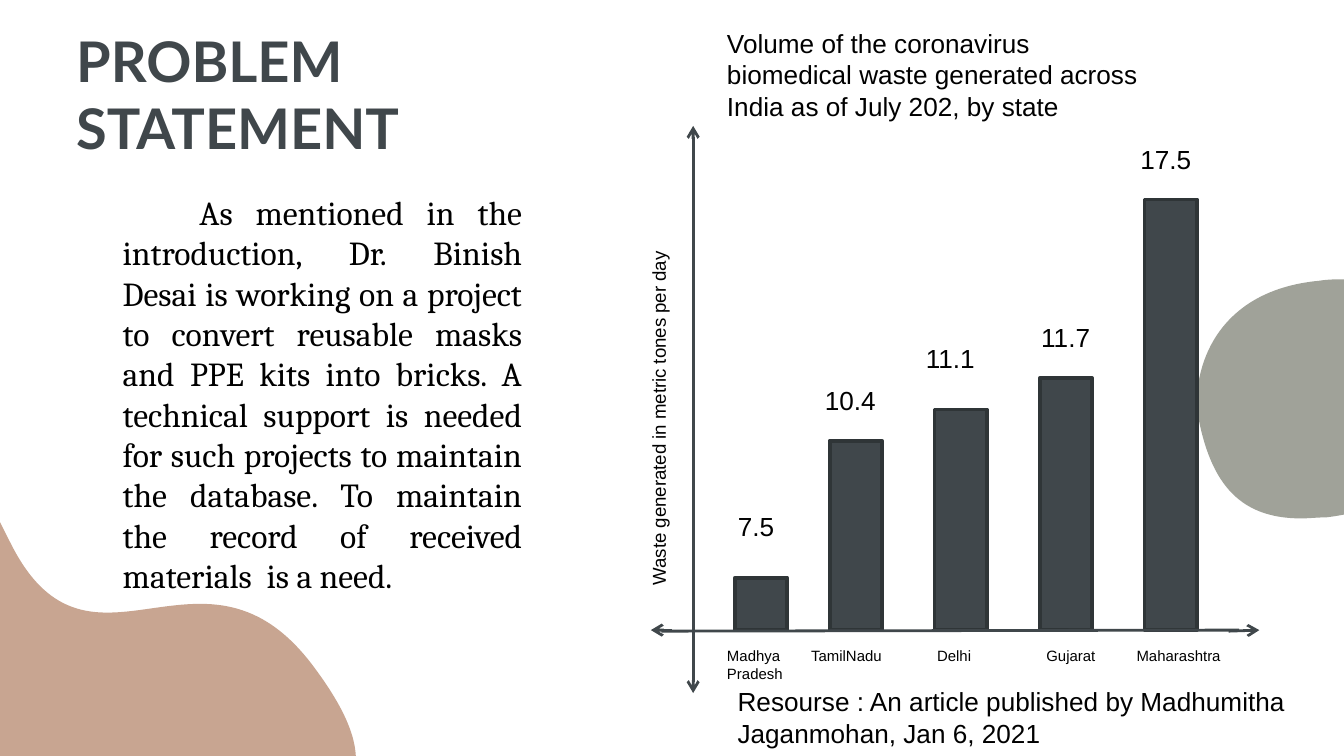
"""Build the problem statement slide with its hand-drawn bar graph."""
from lxml import etree
from pptx import Presentation
from pptx.dml.color import RGBColor
from pptx.enum.shapes import MSO_CONNECTOR, MSO_SHAPE
from pptx.enum.text import MSO_ANCHOR, MSO_AUTO_SIZE, PP_ALIGN
from pptx.oxml.ns import qn
from pptx.util import Cm, Pt

RECT = MSO_SHAPE.RECTANGLE
LINE = MSO_CONNECTOR.STRAIGHT
LEFT, MID, FULL = PP_ALIGN.LEFT, PP_ALIGN.CENTER, PP_ALIGN.JUSTIFY
BASE = MSO_ANCHOR.BOTTOM
FIXED = MSO_AUTO_SIZE.NONE

theme = {
    "slate": RGBColor(0x40, 0x47, 0x4B),
    "edge": RGBColor(0x2F, 0x35, 0x37),
    "clay": RGBColor(0xC8, 0xA5, 0x91),
    "sage": RGBColor(0xA0, 0xA2, 0x99),
    "black": RGBColor(0, 0, 0),
    "head": {"name": "Lato", "size": Pt(30), "bold": True},
    "body": {"name": "Cambria", "size": Pt(18)},
    "note": {"name": "Arial", "size": Pt(14)},
    "axis": {"name": "Arial", "size": Pt(10)},
    "tick": {"name": "Arial", "size": Pt(8)},
}

deck = Presentation()
deck.slide_width, deck.slide_height = Cm(25.4), Cm(14.29)
slide = deck.slides.add_slide(deck.slide_layouts[5])
shapes = slide.shapes


def write(frame, text, style, color="black", align=LEFT, wrap=True):
    frame.word_wrap = wrap
    frame.auto_size = FIXED
    frame.text = text
    for para in frame.paragraphs:
        para.alignment = align
        font = para.runs[0].font
        for key, value in theme[style].items():
            setattr(font, key, value)
        font.color.rgb = theme[color]


def label(box, text, style, **form):
    item = shapes.add_textbox(*map(Cm, box))
    write(item.text_frame, text, style, **form)
    return item


blobs = [
    ("clay", 330.6, (0.47, 6.63), [
        (0.58, 6.63), (0.69, 6.7), (0.81, 6.79),
        (1.5, 7.33), (1.27, 7.75), (1.19, 9.75),
        (1.05, 13.05), (4.62, 11.1), (5.04, 14.6),
        (5.28, 16.51), (4.74, 17.15), (3.33, 17.13),
        (2.89, 17.12), (2.4, 17.07), (1.81, 16.98),
        (-0.76, 16.58), (-1.8, 14.42), (-0.94, 11),
        (-0.25, 8.12), (-0.08, 6.61), (0.47, 6.63)]),
    ("sage", 0, (25.43, 5.28), [
        (25.27, 5.28), (25.1, 5.28), (24.92, 5.31),
        (23.34, 5.46), (22.63, 6.48), (22.61, 7.67),
        (22.83, 9.07), (23.37, 9.8), (24.59, 9.8),
        (24.74, 9.8), (24.89, 9.78), (25.07, 9.78),
        (26.62, 9.58), (27.74, 8.84), (27.41, 6.88),
        (27.23, 5.74), (26.62, 5.28), (25.43, 5.28)]),
]
for color, turn, start, dots in blobs:
    pen = shapes.build_freeform(*map(Cm, start))
    pen.add_line_segments([tuple(map(Cm, dot)) for dot in dots], close=True)
    blob = pen.convert_to_shape()
    blob.rotation = turn
    blob.shadow.inherit = False
    blob.fill.solid()
    blob.fill.fore_color.rgb = theme[color]
    blob.line.fill.background()
    legs = list(blob._element.iter(qn("a:lnTo")))
    for i in range(0, len(legs), 3):
        curve = etree.Element(qn("a:cubicBezTo"))
        legs[i].addprevious(curve)
        for leg in legs[i:i + 3]:
            curve.append(leg[0])
            leg.getparent().remove(leg)

title = shapes.title
place = {"left": 1.19, "top": 1.79, "width": 10.72, "height": 1.5}
for key, value in place.items():
    setattr(title, key, Cm(value))
write(title.text_frame, "PROBLEM STATEMENT", "head", color="slate")
title.text_frame.vertical_anchor = BASE

body = label((0.8, 3.38, 9.32, 9.32),
             "As mentioned in the introduction, Dr. Binish Desai is working on "
             "a project to convert reusable masks and PPE kits into bricks. A "
             "technical support is needed for such projects to maintain the "
             "database. To maintain the record of received materials  is a "
             "need.", "body", align=FULL)
for frame in (title.text_frame, body.text_frame):
    for side in ("left", "top", "right", "bottom"):
        setattr(frame, "margin_" + side, Cm(0.25))
props = body.text_frame.paragraphs[0]._p.get_or_add_pPr()
for key, value in {"marL": 1.27, "indent": 1.45}.items():
    props.set(key, str(Cm(value)))

FLOOR, WIDE = 11.91, 0.99
bars = [
    (13.89, 0.99, "7.5", (13.49, 9.53, 1.6)),
    (15.68, 3.58, "10.4", (15.08, 7.14, 1.98)),
    (17.66, 4.17, "11.1", (17.07, 6.35, 1.78)),
    (19.65, 4.76, "11.7", (19.25, 5.95, 1.78)),
    (21.63, 8.14, "17.5", (20.84, 2.59, 2.39)),
]
for left, high, value, spot in bars:
    bar = shapes.add_shape(RECT, Cm(left), Cm(FLOOR - high), Cm(WIDE), Cm(high))
    bar.shadow.inherit = False
    bar.fill.solid()
    bar.fill.fore_color.rgb = theme["slate"]
    bar.line.color.rgb = theme["edge"]
    bar.line.width = Pt(2)
    label((*spot, 0.86), value, "note", align=MID)

ticks = [
    ("Madhya\nPradesh", 13.49, 1.6, LEFT, True),
    ("TamilNadu", 15.08, 1.91, LEFT, False),
    ("Delhi", 17.46, 1.17, LEFT, False),
    ("Gujarat", 18.45, 3.58, MID, True),
    ("Maharashtra", 21.23, 2.11, LEFT, False),
]
for text, left, wide, align, wrap in ticks:
    high = 0.94 if "\n" in text else 0.61
    label((left, 12.1, wide, high), text, "tick", align=align, wrap=wrap)

AXIS = 13.1
lines = [
    (AXIS, 2.59, AXIS, 12.9, False),
    (23.42, FLOOR, 12.5, 11.93, False),
    (AXIS, 2.59, AXIS, 2.38, True),
    (23.22, 11.93, 23.8, FLOOR, True),
    (AXIS, 12.7, AXIS, 13.1, True),
    (12.7, FLOOR, 12.3, FLOOR, True),
]
for *ends, tip in lines:
    rule = shapes.add_connector(LINE, *map(Cm, ends))
    rule.line.color.rgb = theme["slate"]
    rule.line.width = Pt(1.5)
    if tip:
        stroke = rule.line._get_or_add_ln()
        etree.SubElement(stroke, qn("a:tailEnd")).set("type", "arrow")
    etree.SubElement(rule._element.spPr, qn("a:effectLst"))

label((13.49, 0.39, 8.53, 2.06),
      "Volume of the coronavirus biomedical waste generated across India "
      "as of July 202, by state", "note")
label((13.69, 12.84, 11.3, 1.45),
      "Resourse : An article published by Madhumitha Jaganmohan, "
      "Jan 6, 2021", "note")
side = label((7.09, 5.61, 10.72, 0.69),
             "Waste generated in metric tones per day", "axis")
side.rotation = 270

deck.save("out.pptx")
